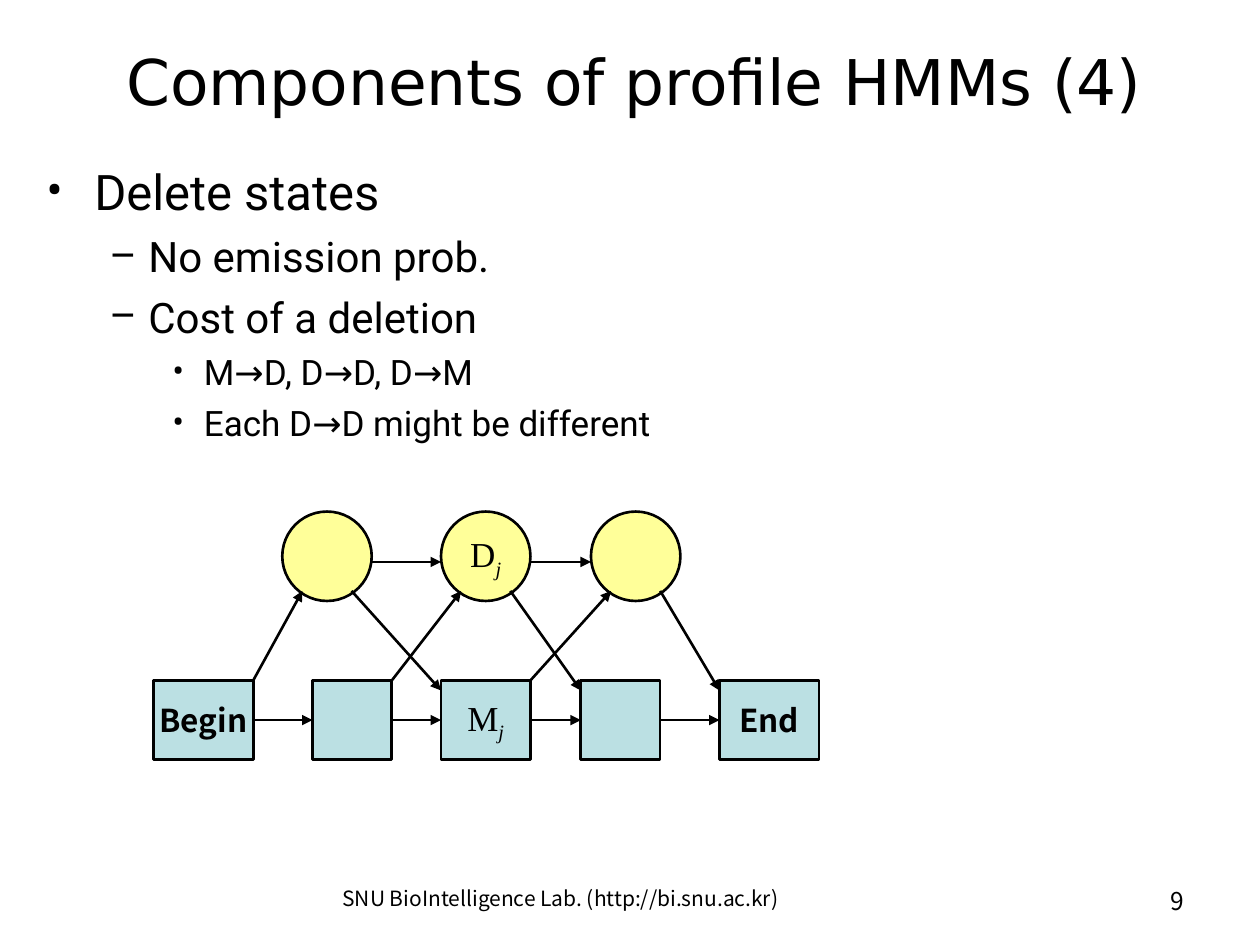
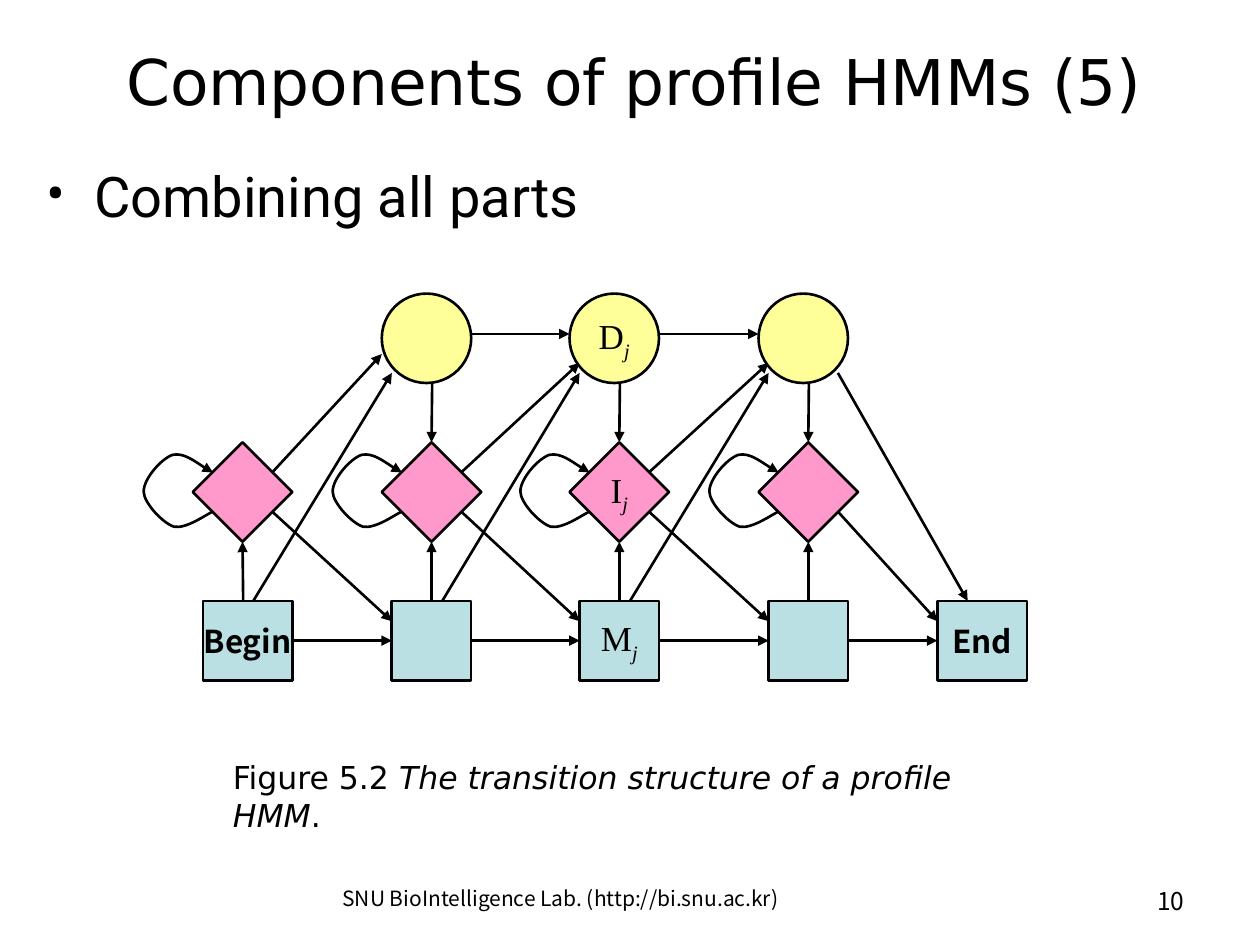
from dataclasses import dataclass
from typing import NamedTuple

from lxml import etree
from pptx import Presentation, util as u
from pptx.dml.color import RGBColor
from pptx.enum import shapes, text
from pptx.oxml.ns import qn

HUES = {"ink": "000000", "match": "BBE0E3", "drop": "FFFF99", "add": "FF99CC"}
SANS, BODY, NOTO, SERIF = "DejaVu Sans", "Roboto", "Noto Sans CJK KR", "Times New Roman"
LEFT, MID, RIGHT = text.PP_ALIGN.LEFT, text.PP_ALIGN.CENTER, text.PP_ALIGN.RIGHT
TOP, HALF = text.MSO_ANCHOR.TOP, text.MSO_ANCHOR.MIDDLE
FORMS = shapes.MSO_SHAPE
UP, WEST, DOWN, EAST = range(4)  # connection sites
LINE = 1.5


class Bit(NamedTuple):
    """One run of text."""
    words: str
    size: float
    face: str
    bold: bool = False
    slant: bool = False
    base: int = 0


class Point(NamedTuple):
    """One bulleted line."""
    words: str
    size: float
    level: int = 0


class Level(NamedTuple):
    mark: str
    left: float
    hang: float


LEVELS = [Level("•", 0.38, 0.38), Level("–", 0.81, 0.31), Level("•", 1.25, 0.25)]


@dataclass
class Kind:
    form: int
    hue: str
    high: float


MATCH = Kind(FORMS.RECTANGLE, "match", 0.63)
DROP = Kind(FORMS.OVAL, "drop", 0.71)
ADD = Kind(FORMS.DIAMOND, "add", 0.79)


def tint(name: str) -> RGBColor:
    return RGBColor.from_string(HUES[name])


# Text
def add_bit(para, bit: Bit) -> None:
    run = para.add_run()
    run.text = bit.words
    font = run.font
    font.name, font.size = bit.face, u.Pt(bit.size)
    font.bold, font.italic = bit.bold, bit.slant
    font.color.rgb = tint("ink")
    if bit.base:
        run._r.get_or_add_rPr().set("baseline", str(bit.base * 1000))


def add_box(slide, left: float, top: float, wide: float, high: float,
            bits: list[Bit], align=LEFT, anchor=TOP):
    box = slide.shapes.add_textbox(*map(u.Inches, (left, top, wide, high)))
    frame = box.text_frame
    frame.word_wrap, frame.vertical_anchor = True, anchor
    frame.paragraphs[0].alignment = align
    for bit in bits:
        add_bit(frame.paragraphs[0], bit)
    return frame


def add_list(slide, points: list[Point]) -> None:
    frame = add_box(slide, 0.27, 1.23, 9.53, 5.67, [])
    for i, point in enumerate(points):
        para = frame.add_paragraph() if i else frame.paragraphs[0]
        level = LEVELS[point.level]
        props = para._p.get_or_add_pPr()
        props.set("marL", str(u.Inches(level.left)))
        props.set("indent", str(-u.Inches(level.hang)))
        face = etree.SubElement(props, qn("a:buFont"))
        face.set("typeface", BODY)
        etree.SubElement(props, qn("a:buChar")).set("char", level.mark)
        para.level = point.level
        if i:
            para.space_before = u.Pt(point.size // 4)
        add_bit(para, Bit(point.words, point.size, BODY))


# States and arrows
def sub(letter: str) -> list[Bit]:
    return [Bit(letter, 20, SERIF), Bit("j", 20, SERIF, slant=True, base=-25)]


def word(label: str) -> list[Bit]:
    return [Bit(label, 18, NOTO, bold=True)]


def add_state(slide, kind: Kind, left: float, top: float, wide: float, bits: list[Bit]):
    node = slide.shapes.add_shape(kind.form, *map(u.Inches, (left, top, wide, kind.high)))
    node.shadow.inherit = False
    node.fill.solid()
    node.fill.fore_color.rgb = tint(kind.hue)
    node.line.color.rgb, node.line.width = tint("ink"), u.Pt(LINE)
    frame = node.text_frame
    frame.word_wrap, frame.vertical_anchor = False, HALF
    frame.paragraphs[0].alignment = MID
    for bit in bits:
        add_bit(frame.paragraphs[0], bit)
    return node


def add_head(line) -> None:
    line.color.rgb, line.width = tint("ink"), u.Pt(LINE)
    etree.SubElement(line._get_or_add_ln(), qn("a:tailEnd")).set("type", "triangle")


def add_link(slide, x1: float, y1: float, x2: float, y2: float):
    link = slide.shapes.add_connector(
        shapes.MSO_CONNECTOR.STRAIGHT, *map(u.Inches, (x1, y1, x2, y2)))
    add_head(link.line)
    etree.SubElement(link._element.spPr, qn("a:effectLst"))
    return link


def join(slide, start, exit: int, end, entry: int) -> None:
    link = add_link(slide, 0, 0, 1, 1)
    link.begin_connect(start, exit)
    link.end_connect(end, entry)


def add_chain(slide, top: float, spots: list[tuple]) -> list:
    """A row of match states, each joined to the next."""
    row = [add_state(slide, MATCH, left, top, wide, bits) for left, wide, bits in spots]
    for here, after in zip(row, row[1:]):
        join(slide, here, EAST, after, WEST)
    return row


# Control points of the self-loop, measured from its diamond's corner
LOOP = [(0.16, 0.55), (0.11, 0.57), (-0.05, 0.69), (-0.15, 0.67),
        (-0.24, 0.64), (-0.39, 0.48), (-0.39, 0.39),
        (-0.39, 0.29), (-0.25, 0.13), (-0.16, 0.1),
        (-0.07, 0.08), (0.1, 0.21), (0.16, 0.24)]


def add_loop(slide, left: float, top: float) -> None:
    dots = [(u.Inches(left + x), u.Inches(top + y)) for x, y in LOOP]
    pen = slide.shapes.build_freeform(*dots[0])
    pen.add_line_segments(dots[1:], close=False)
    loop = pen.convert_to_shape()
    loop.shadow.inherit = False
    loop.fill.background()
    add_head(loop.line)
    # Turn each three control points into one cubic curve
    trail = next(loop._element.iter(qn("a:path")))
    legs = trail.findall(qn("a:lnTo"))
    for i in range(0, len(legs), 3):
        curve = etree.SubElement(trail, qn("a:cubicBezTo"))
        for leg in legs[i:i + 3]:
            curve.append(leg[0])
            trail.remove(leg)


# Shared frame of a slide
def add_slide(deck, part: int, page: int, points: list[Point]):
    slide = deck.slides.add_slide(deck.slide_layouts[6])
    title = Bit(f"Components of profile HMMs ({part})", 36, SANS)
    add_box(slide, 0.27, 0.13, 9.53, 1.02, [title], MID, HALF)
    add_list(slide, points)
    lab = Bit("SNU BioIntelligence Lab. (http://bi.snu.ac.kr)", 12, NOTO)
    add_box(slide, 1.85, 6.98, 5.2, 0.37, [lab], MID)
    add_box(slide, 7.17, 6.98, 2.33, 0.37, [Bit(str(page), 14, NOTO)], RIGHT)
    return slide


def draw_drops(deck) -> None:
    slide = add_slide(deck, 4, 9, [
        Point("Delete states", 28),
        Point("No emission prob.", 24, 1),
        Point("Cost of a deletion", 24, 1),
        Point("M→D, D→D, D→M", 20, 2),
        Point("Each D→D might be different", 20, 2)])
    add_chain(slide, 5.4, [
        (1.22, 0.79, word("Begin")), (2.48, 0.63, []), (3.5, 0.71, sub("M")),
        (4.61, 0.63, []), (5.71, 0.79, word("End"))])
    drops = [2.24, 3.5, 4.69]
    for left, bits in zip(drops, ([], sub("D"), [])):
        add_state(slide, DROP, left, 4.06, DROP.high, bits)
    for here, after in zip(drops, drops[1:]):
        add_link(slide, here + DROP.high, 4.46, after, 4.46)
    # Up into a delete state, then down out of it
    for left, edge in zip(drops, (2.01, 3.11, 4.21)):
        add_link(slide, edge, 5.4, left + 0.16, 4.69)
    for left, edge in zip(drops, (3.5, 4.61, 5.71)):
        add_link(slide, left + 0.55, 4.69, edge, 5.48)


def draw_whole(deck) -> None:
    slide = add_slide(deck, 5, 10, [Point("Combining all parts", 32)])
    cols = [1.53, 3.03, 4.52, 6.02]
    inset, last = 0.08, 7.44
    row = add_chain(slide, 4.77, [
        (cols[0] + inset, 0.71, word("Begin")), (cols[1] + inset, 0.63, []),
        (cols[2] + inset, 0.63, sub("M")), (cols[3] + inset, 0.63, []),
        (last, 0.71, word("End"))])
    for i, left in enumerate(cols):
        mid = left + 0.4
        # Insert state with its loop
        node = add_state(slide, ADD, left, 3.51, ADD.high, sub("I") if i == 2 else [])
        add_loop(slide, left, 3.51)
        # Delete state above, match state below
        if i:
            add_state(slide, DROP, left, 2.33, DROP.high, sub("D") if i == 2 else [])
            add_link(slide, mid, 3.04, mid, 3.51).end_connect(node, UP)
            join(slide, row[i], UP, node, DOWN)
        else:
            add_link(slide, mid, 4.77, mid, 4.3).end_connect(node, DOWN)
        # Arrows to the next column
        edge = cols[i + 1] + inset if i < 3 else last
        add_link(slide, left + 0.63, 4.06, edge, 4.93)
        if i < 3:
            add_link(slide, left + 0.48, 4.77, edge, 2.96)
            goal = (edge, 2.88) if i else (cols[1], 2.81)
            add_link(slide, left + 0.63, 3.75, *goal)
        if 0 < i < 3:
            add_link(slide, left + DROP.high, 2.65, cols[i + 1], 2.65)
    add_link(slide, 6.65, 2.96, 7.68, 4.77)
    # Caption
    add_box(slide, 1.75, 5.97, 6.03, 0.4, [
        Bit("Figure 5.2 ", 18, SANS),
        Bit("The transition structure of a profile HMM", 18, SANS, slant=True),
        Bit(".", 18, SANS)])


def main() -> None:
    deck = Presentation()
    deck.slide_width, deck.slide_height = u.Inches(10), u.Inches(7.5)
    draw_drops(deck)
    draw_whole(deck)
    deck.save("out.pptx")


if __name__ == "__main__":
    main()
